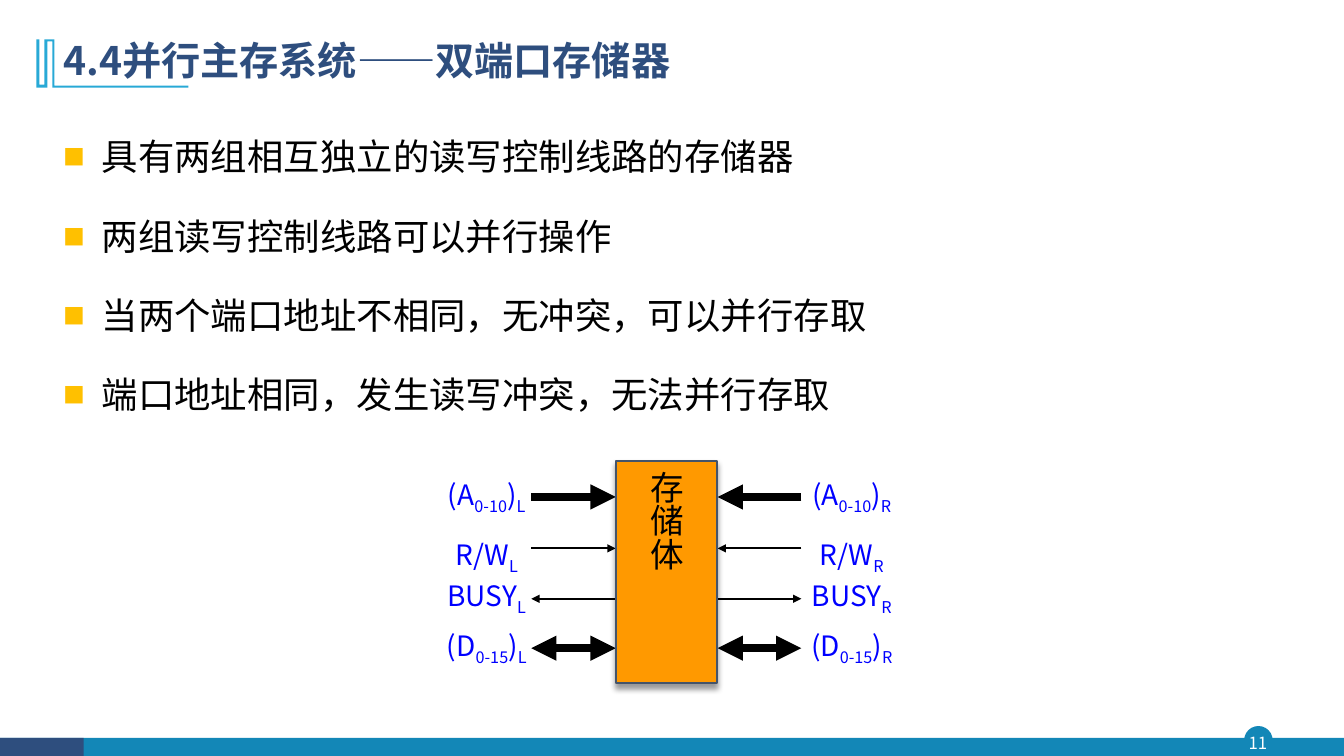
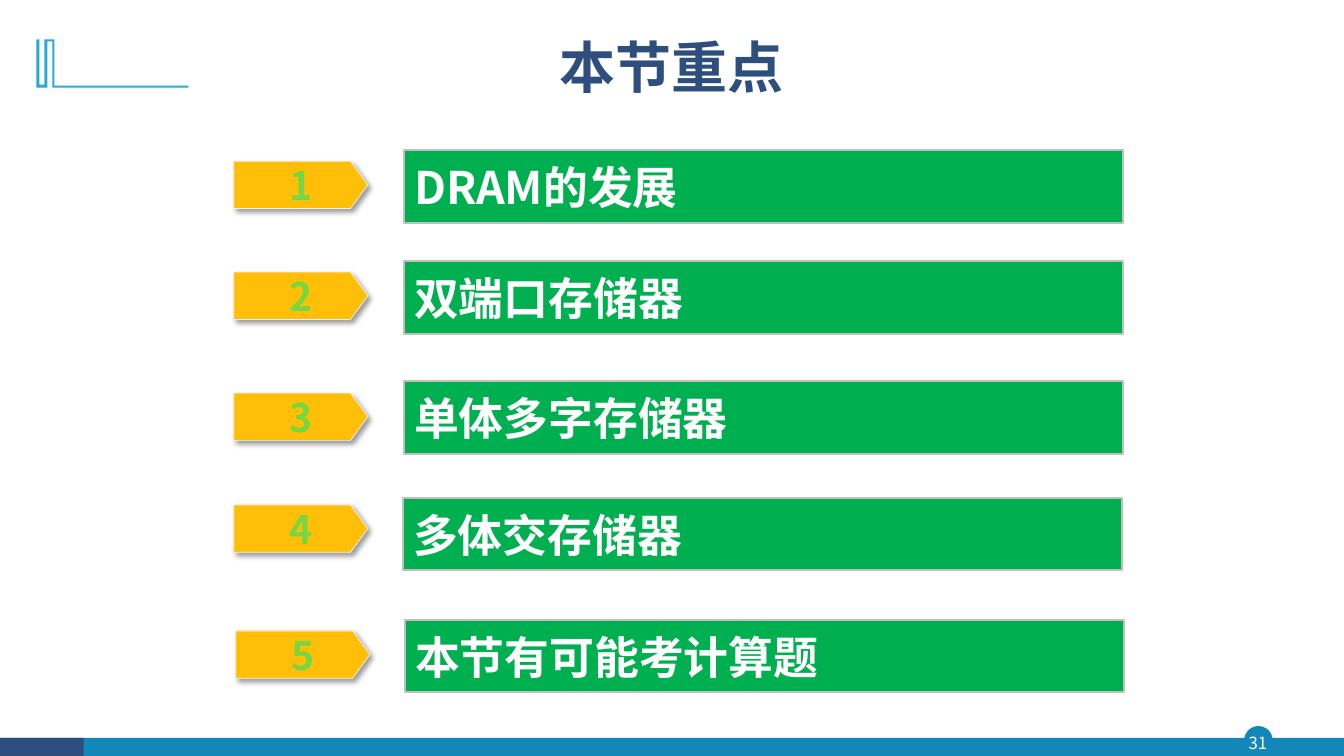
import pptx
import pptx.util
import pptx.dml.color
import pptx.enum.shapes
import pptx.enum.text
import pptx.oxml
import pptx.oxml.ns
import lxml.etree

Pt = pptx.util.Pt
RGB = pptx.dml.color.RGBColor.from_string
SHAPE = pptx.enum.shapes.MSO_SHAPE
ALIGN = pptx.enum.text.PP_ALIGN
ANCHOR = pptx.enum.text.MSO_ANCHOR
qn = pptx.oxml.ns.qn
SANS = "Noto Sans CJK SC"
LABEL_FONT = "Noto Sans CJK JP"
COLORS = {
    "teal": "1387B7", "navy": "2E4E7E", "sky": "28A9D6", "white": "FFFFFF",
    "black": "000000", "bullet": "FFC000", "signal": "0000FF",
    "memory": "FF9900", "slate": "44546A", "tag": "FFBF09", "tag_edge": "F2F2F2",
    "number": "75D840", "bar": "00B050", "bar_edge": "BFBFBF",
}


def add_block(slide, kind, at, fill=None, edge=None, edge_width=1, shadow_angle=None):
    """Add a preset shape, or a plain text box when kind is None."""
    box = [Pt(value) for value in at]
    if kind is None:
        block = slide.shapes.add_textbox(*box)
    else:
        block = slide.shapes.add_shape(kind, *box)
        block.shadow.inherit = False
        block.fill.solid()
        block.fill.fore_color.rgb = RGB(COLORS[fill])
        if edge:
            block.line.color.rgb = RGB(COLORS[edge])
            block.line.width = Pt(edge_width)
        else:
            block.line.fill.background()
    if shadow_angle is not None:
        effects = block._element.spPr.find(qn("a:effectLst"))
        shadow = lxml.etree.SubElement(
            effects, qn("a:outerShdw"), blurRad=str(Pt(4)), dist=str(Pt(3)),
            dir=str(shadow_angle * 60000), algn="ctr", rotWithShape="0")
        tint = lxml.etree.SubElement(shadow, qn("a:srgbClr"), val=COLORS["black"])
        lxml.etree.SubElement(tint, qn("a:alpha"), val="40000")
    block.text_frame.word_wrap = True
    block.text_frame.vertical_anchor = ANCHOR.MIDDLE
    return block


def write(paragraph, runs, size, color, bold=False, align=ALIGN.LEFT, font=SANS):
    """Add runs given as (text, is_subscript) to a paragraph."""
    paragraph.alignment = align
    for text, is_subscript in runs:
        run = paragraph.add_run()
        run.text = text
        run.font.size = Pt(size)
        run.font.bold = bold
        run.font.name = font
        run.font.color.rgb = RGB(COLORS[color])
        east_asian = SANS if font == "Cabin" else font
        properties = run._r.get_or_add_rPr()
        properties.find(qn("a:latin")).addnext(
            pptx.oxml.parse_xml(
                f'<a:ea {pptx.oxml.ns.nsdecls("a")} typeface="{east_asian}"/>'))
        if is_subscript:
            properties.set("baseline", "-25000")


deck = pptx.Presentation()
deck.slide_width, deck.slide_height = Pt(960), Pt(540)

# Shared look: footer band, page number, title ornament, title
ORNAMENT = [
    (38.9, 28.1), (38.9, 61.2), (134.6, 61.2), (134.6, 62.6), (37.4, 62.6),
    (37.4, 29.5), (33.8, 29.5), (33.8, 62.6), (25.9, 62.6), (25.9, 28.1),
    (28.1, 28.1), (28.1, 60.5), (31.7, 60.5), (31.7, 28.1),
]
pages = [
    ("11", "4.4并行主存系统——双端口存储器", (38.2, 20.2, 828, 49), 28, ALIGN.LEFT),
    ("31", "本节重点", (223.2, 10.1, 513.4, 80.6), 40, ALIGN.CENTER),
]
slides = []
for page_number, heading, heading_at, heading_size, heading_align in pages:
    slide = deck.slides.add_slide(deck.slide_layouts[6])
    slides.append(slide)
    add_block(slide, SHAPE.OVAL, (889.2, 519.1, 19.4, 19.4), "teal", "teal")
    add_block(slide, SHAPE.RECTANGLE, (0, 527, 960, 13), "teal")
    add_block(slide, SHAPE.RECTANGLE, (0, 527, 59.8, 13), "navy")

    number = add_block(slide, None, (887, 519.1, 23, 22.3)).text_frame
    number.margin_left = number.margin_right = 0
    number.margin_top = number.margin_bottom = 0
    write(number.paragraphs[0], [(page_number, False)], 12, "white", align=ALIGN.CENTER)

    corners = [(Pt(x), Pt(y)) for x, y in ORNAMENT]
    outline = slide.shapes.build_freeform(*corners[0], scale=1.0)
    outline.add_line_segments(corners[1:], close=True)
    ornament = outline.convert_to_shape()
    ornament.shadow.inherit = False
    ornament.fill.solid()
    ornament.fill.fore_color.rgb = RGB(COLORS["sky"])
    ornament.line.fill.background()

    title = add_block(slide, None, heading_at).text_frame.paragraphs[0]
    title.line_spacing = 0.9
    write(title, [(heading, False)], heading_size, "navy", True, heading_align)

memory_slide, summary_slide = slides

# Dual-port memory: bullet list
points = [
    "具有两组相互独立的读写控制线路的存储器",
    "两组读写控制线路可以并行操作",
    "当两个端口地址不相同，无冲突，可以并行存取",
    "端口地址相同，发生读写冲突，无法并行存取",
]
features = add_block(memory_slide, None, (38.2, 77.2, 828, 235)).text_frame
features.vertical_anchor = ANCHOR.TOP
for index, point in enumerate(points):
    feature = features.add_paragraph() if index else features.paragraphs[0]
    layout = feature._p.get_or_add_pPr()
    layout.set("marL", str(Pt(27.4)))
    layout.set("indent", str(-Pt(27.4)))
    bullet_color = lxml.etree.SubElement(layout, qn("a:buClr"))
    lxml.etree.SubElement(bullet_color, qn("a:srgbClr"), val=COLORS["bullet"])
    lxml.etree.SubElement(layout, qn("a:buSzPct"), val="60000")
    lxml.etree.SubElement(layout, qn("a:buFont"), typeface=SANS)
    lxml.etree.SubElement(layout, qn("a:buChar"), char="■")
    feature.line_spacing = Pt(46.6)
    if index:
        feature.space_before = Pt(10)
    write(feature, [(point, False)], 26, "black", align=ALIGN.JUSTIFY)

# Dual-port memory: signals, the same on the left and right port
# (label runs, arrow y, label top, line width, arrow into memory, arrow out)
signals = [
    ([("(A", False), ("0-10", True), (")", False)], 355, 337.7, 6, True, False),
    ([("R/W", False)], 391.7, 380.2, 1.5, True, False),
    ([("BUSY", False)], 427.7, 409.7, 1.5, False, True),
    ([("(D", False), ("0-15", True), (")", False)], 463, 445.7, 6, True, True),
]
# (suffix, label left, label width, outer x, memory x)
ports = [("L", 296.6, 102.2, 379.5, 439.8), ("R", 554.4, 108, 572.4, 512.6)]
for suffix, label_left, label_width, outer_x, memory_x in ports:
    for label, arrow_y, label_top, weight, goes_in, goes_out in signals:
        arrow = memory_slide.shapes.add_connector(
            pptx.enum.shapes.MSO_CONNECTOR.STRAIGHT,
            Pt(outer_x), Pt(arrow_y), Pt(memory_x), Pt(arrow_y))
        arrow.line.color.rgb = RGB(COLORS["black"])
        arrow.line.width = Pt(weight)
        stroke = arrow.line._get_or_add_ln()
        for end, shown in (("a:headEnd", goes_out), ("a:tailEnd", goes_in)):
            if shown:
                lxml.etree.SubElement(stroke, qn(end), type="triangle")
        lxml.etree.SubElement(arrow._element.spPr, qn("a:effectLst"))

        caption = add_block(
            memory_slide, None, (label_left, label_top, label_width, 31)).text_frame
        caption.vertical_anchor = ANCHOR.TOP
        write(caption.paragraphs[0], label + [(suffix, True)], 20, "signal",
              align=ALIGN.CENTER, font=LABEL_FONT)

# Dual-port memory: the memory body with vertical text
memory = add_block(memory_slide, SHAPE.RECTANGLE, (439.9, 329, 72, 159.1),
                   "memory", "slate", 1.5, 90).text_frame
memory.word_wrap = False
memory._txBody.bodyPr.set("vert", "eaVert")
write(memory.paragraphs[0], [("存储体", False)], 24, "black",
      align=ALIGN.CENTER, font="Cabin")

# Summary: numbered tags and topic bars
# (tag left, tag top, bar left, bar top, topic)
topics = [
    (167, 115.2, 288.7, 107.3, "DRAM的发展"),
    (167, 194.4, 288.7, 186.5, "双端口存储器"),
    (167, 280.8, 288.7, 272.2, "单体多字存储器"),
    (167, 360.7, 288, 355.7, "多体交存储器"),
    (168.5, 450.7, 289.4, 442.8, "本节有可能考计算题"),
]
for index, (tag_left, tag_top, bar_left, bar_top, topic) in enumerate(topics, 1):
    tag = add_block(summary_slide, SHAPE.PENTAGON, (tag_left, tag_top, 95.8, 33.8),
                    "tag", "tag_edge", 0.5, 45)
    tag.adjustments[0] = 0.365
    tag_text = tag.text_frame
    tag_text.margin_left = Pt(6)
    tag_text.margin_right = tag_text.margin_top = tag_text.margin_bottom = 0
    write(tag_text.paragraphs[0], [(str(index), False)], 28, "number", True, ALIGN.CENTER)

    bar = add_block(summary_slide, SHAPE.RECTANGLE, (bar_left, bar_top, 513.4, 51.8),
                    "bar", "bar_edge", 1.5)
    write(bar.text_frame.paragraphs[0], [(topic, False)], 32, "white", True)

deck.save("out.pptx")
